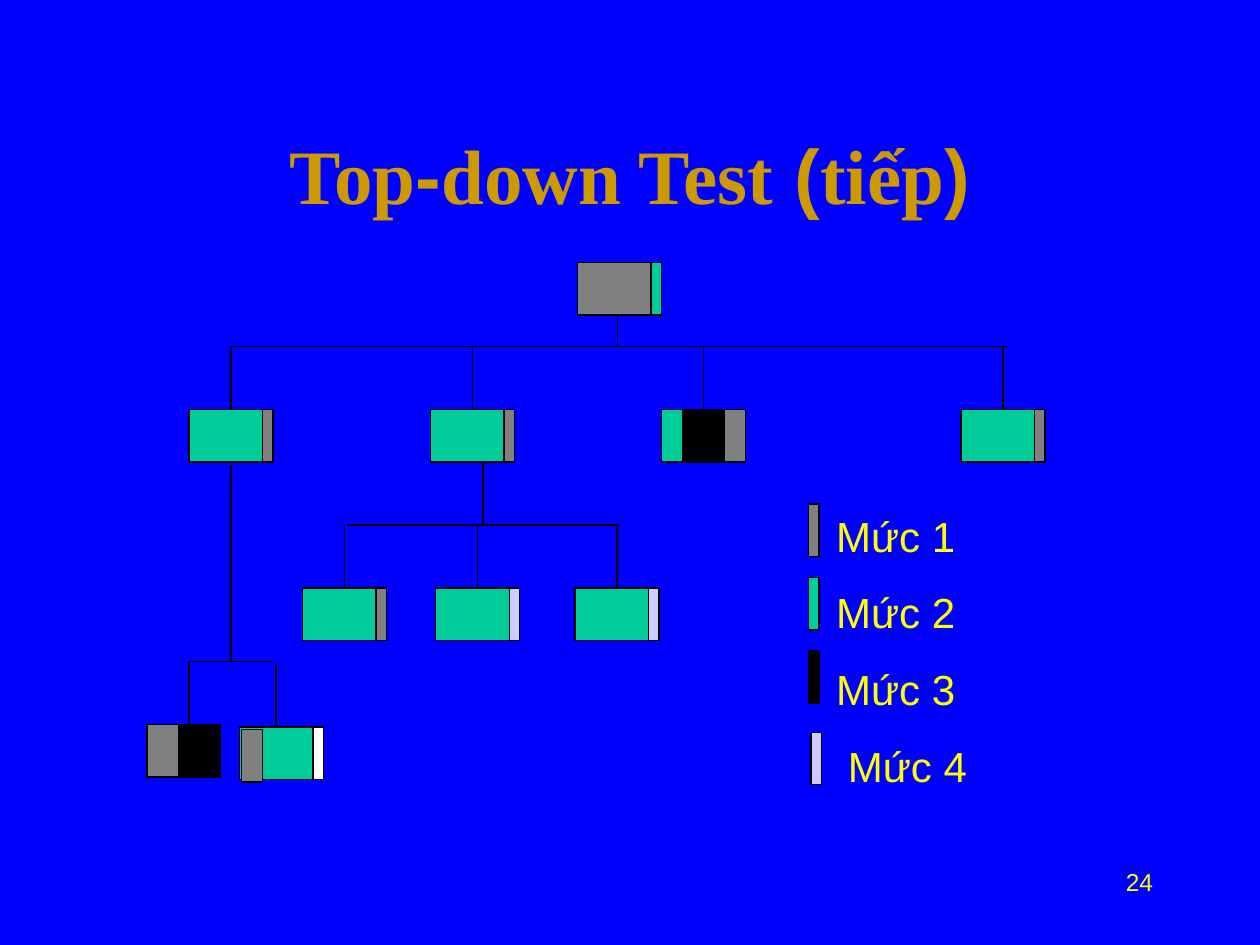
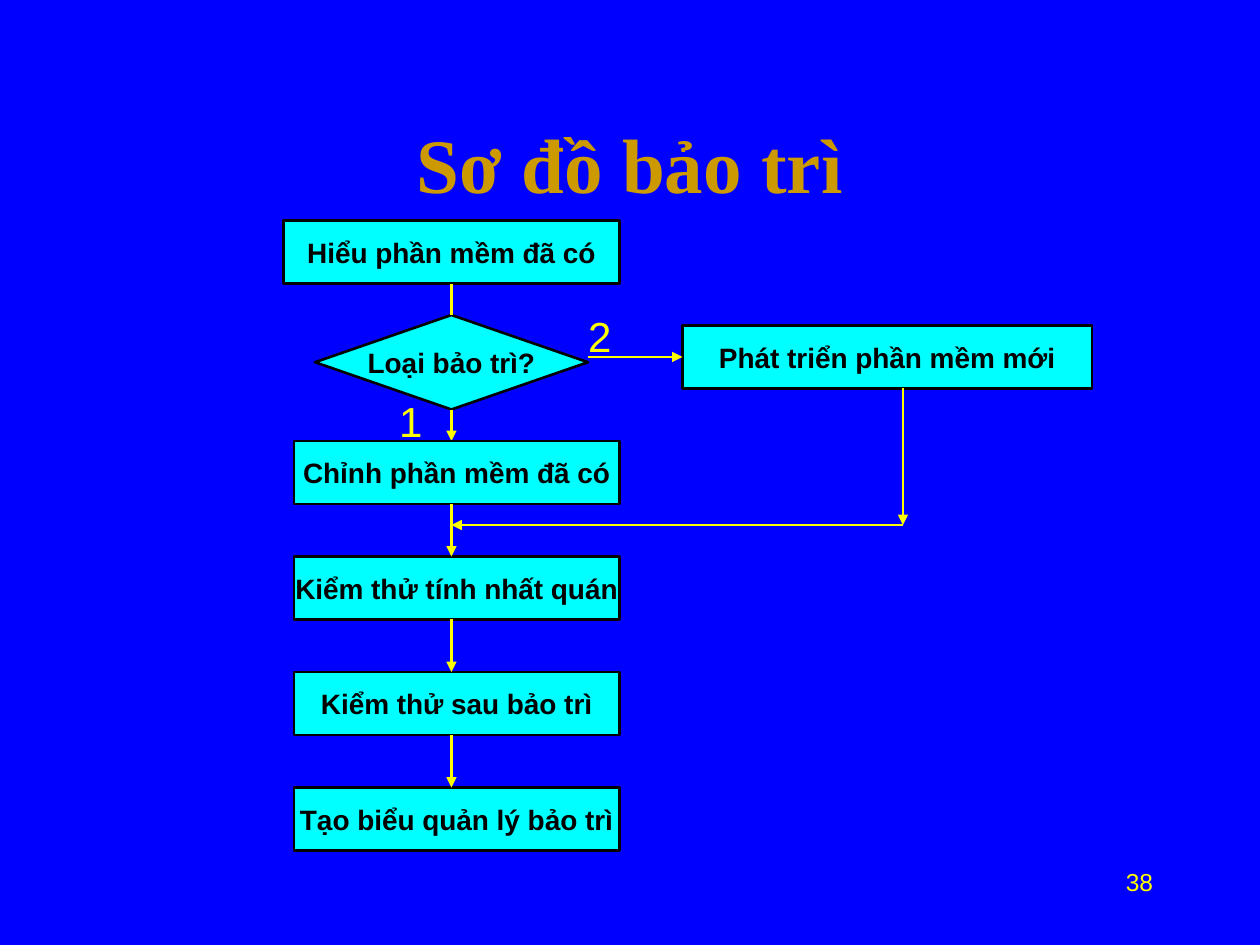
from lxml.etree import SubElement
from pptx import Presentation
from pptx.dml.color import RGBColor
from pptx.enum.shapes import MSO_CONNECTOR, MSO_SHAPE
from pptx.enum.text import MSO_ANCHOR, MSO_AUTO_SIZE, PP_ALIGN
from pptx.oxml.ns import qn
from pptx.util import Pt

BLUE = RGBColor(0x00, 0x00, 0xFF)
GOLD = RGBColor(0xCC, 0x99, 0x00)
YELLOW = RGBColor(0xFF, 0xFF, 0x00)
CYAN = RGBColor(0x00, 0xFF, 0xFF)
GRAY = RGBColor(0x80, 0x80, 0x80)
GREEN = RGBColor(0x00, 0xCC, 0x99)
LILAC = RGBColor(0xCC, 0xCC, 0xFF)
BLACK = RGBColor(0x00, 0x00, 0x00)
WHITE = RGBColor(0xFF, 0xFF, 0xFF)

SANS, SERIF = "Arial", "Times New Roman"
TITLE_FONT = {"size": Pt(44), "bold": True}
STEP_FONT = {"name": SANS, "size": Pt(16), "bold": True}
LABEL_FONT = {"name": SANS, "size": Pt(24)}
NUMBER_FONT = {"name": SANS, "size": Pt(14)}
TOP, LEFT, BOTTOM = 0, 1, 2

MODULE_W, MODULE_H, STRIP_W = 42, 30, 6
STEM_X = 24  # where a stem meets a module, from its left edge


class Deck:
    def __init__(self):
        self.presentation = Presentation()
        self.presentation.slide_width, self.presentation.slide_height = Pt(720), Pt(540)
        self.slide = None

    def add_slide(self, title_box, title_runs, number):
        self.slide = self.presentation.slides.add_slide(self.presentation.slide_layouts[6])
        background = self.slide.background.fill
        background.solid()
        background.fore_color.rgb = BLUE
        title = self.text_frame(*title_box, vertical_anchor=MSO_ANCHOR.MIDDLE)
        title.paragraphs[0].alignment = PP_ALIGN.CENTER
        for text, font in title_runs:
            self.styled_run(title.paragraphs[0], text, GOLD, name=font, **TITLE_FONT)
        footer = self.text_frame(516, 492, 150, 36)
        footer.paragraphs[0].alignment = PP_ALIGN.RIGHT
        self.styled_run(footer.paragraphs[0], number, YELLOW, **NUMBER_FONT)

    def text_frame(self, left, top, width, height, **formats):
        frame = self.slide.shapes.add_textbox(Pt(left), Pt(top), Pt(width), Pt(height)).text_frame
        for key, value in {"word_wrap": True, **formats}.items():
            setattr(frame, key, value)
        return frame

    def styled_run(self, paragraph, text, color, **formats):
        run = paragraph.add_run()
        run.text = text
        run.font.color.rgb = color
        for key, value in formats.items():
            setattr(run.font, key, value)

    def box(self, left, top, width, height, fill, kind=MSO_SHAPE.RECTANGLE, border=0.75):
        shape = self.slide.shapes.add_shape(kind, Pt(left), Pt(top), Pt(width), Pt(height))
        shape.shadow.inherit = False
        shape.fill.solid()
        shape.fill.fore_color.rgb = fill
        shape.line.color.rgb = BLACK
        shape.line.width = Pt(border)
        return shape

    def module(self, left, top, body, strip):
        """Draw a program module with a test-level strip on its right; return the body."""
        shape = self.box(left, top, MODULE_W, MODULE_H, body)
        self.box(left + MODULE_W, top, STRIP_W, MODULE_H, strip)
        return shape

    def step(self, text, left, top, width, height=36, kind=MSO_SHAPE.RECTANGLE):
        shape = self.box(left, top, width, height, CYAN, kind, border=1.5)
        frame = shape.text_frame
        frame.word_wrap = False
        frame.vertical_anchor = MSO_ANCHOR.MIDDLE
        frame.paragraphs[0].alignment = PP_ALIGN.CENTER
        self.styled_run(frame.paragraphs[0], text, BLACK, **STEP_FONT)
        return shape

    def branch_label(self, text, left, top):
        frame = self.text_frame(left, top, 28, 36, word_wrap=False,
                                auto_size=MSO_AUTO_SIZE.SHAPE_TO_FIT_TEXT)
        self.styled_run(frame.paragraphs[0], text, YELLOW, **LABEL_FONT)

    def line(self, start, end, color=BLACK, width=0.75, arrow=False, begin=None, finish=None):
        """Join two points; begin and finish are optional (shape, side) pairs."""
        connector = self.slide.shapes.add_connector(
            MSO_CONNECTOR.STRAIGHT, *map(Pt, (*start, *end)))
        connector.line.color.rgb = color
        connector.line.width = Pt(width)
        properties = connector._element.spPr
        if arrow:
            SubElement(properties.find(qn("a:ln")), qn("a:tailEnd"), type="triangle")
        SubElement(properties, qn("a:effectLst"))
        if begin:
            connector.begin_connect(*begin)
        if finish:
            connector.end_connect(*finish)

    def flow(self, start, end, arrow=True, **joins):
        self.line(start, end, YELLOW, 1.5, arrow, **joins)


def build_top_down_test(deck):
    deck.add_slide((96, 54, 528, 90), [
        ("Top", SERIF), ("-", SANS), ("down Test", SERIF),
        (" (", SANS), ("tiếp", SERIF), (")", SANS)], "24")

    deck.module(330, 150, GRAY, GREEN)
    deck.line((132, 198), (576, 198))
    deck.line((352.8, 180), (352.8, 198))

    tiers = [
        (234, [(108, GRAY), (246, GRAY), (549.2, GRAY)]),
        (336, [(172.8, GRAY), (249, LILAC), (328.6, LILAC)]),
    ]
    for top, modules in tiers:
        for left, strip in modules:
            deck.module(left, top, GREEN, strip)
            deck.line((left + STEM_X, top - 36), (left + STEM_X, top))

    deck.box(378, 234, MODULE_W, MODULE_H, GREEN)
    deck.box(414, 234, 12, MODULE_H, GRAY)
    level_3_core = deck.box(390, 234, 24, MODULE_H, BLACK)
    deck.line((402, 198), (402, 234), finish=(level_3_core, TOP))

    deck.line((198, 300), (354, 300))
    deck.line((276, 264), (276, 300))

    deck.box(84, 414, MODULE_W, MODULE_H, BLACK)
    deck.box(84, 414, 18, MODULE_H, GRAY)
    deck.line((108, 378), (108, 414))
    last_module = deck.module(136.8, 415.5, GREEN, WHITE)
    deck.box(138.2, 417, 12, MODULE_H, GRAY)
    deck.line((157.8, 379.5), (157.8, 415.5), finish=(last_module, TOP))
    deck.line((108, 378), (156, 378))
    deck.line((132, 265.5), (132, 378))

    legend = [("Mức 1", 26.7, 462, 288, GRAY), ("Mức 2", 26.7, 462, 330, GREEN),
              ("Mức 3", 26.7, 462, 372, BLACK), ("Mức 4", 33.4, 463.5, 418.5, LILAC)]
    levels = deck.text_frame(444, 288, 186, 168)
    for index, (level, indent, left, top, color) in enumerate(legend):
        paragraph = levels.add_paragraph() if index else levels.paragraphs[0]
        paragraph.space_before = Pt(15)
        paragraph._p.get_or_add_pPr().set("marL", str(Pt(indent)))
        deck.styled_run(paragraph, level, YELLOW, **LABEL_FONT)
        deck.box(left, top, STRIP_W, MODULE_H, color)


def build_maintenance_chart(deck):
    deck.add_slide((54, 48, 612, 90), [("Sơ đồ bảo trì", SERIF)], "38")
    axis, first_top, pitch, height = 258, 252, 66, 36

    understand = deck.step("Hiểu phần mềm đã có", 162, 126, 192)
    decision = deck.step("Loại bảo trì?", 180, 180, 156, 54, MSO_SHAPE.FLOWCHART_DECISION)
    develop = deck.step("Phát triển phần mềm mới", 390, 186, 234)
    deck.flow((axis, 162), (axis, 180), arrow=False,
              begin=(understand, BOTTOM), finish=(decision, TOP))
    deck.flow((axis, 234), (axis, first_top), begin=(decision, BOTTOM))

    steps = ["Chỉnh phần mềm đã có", "Kiểm thử tính nhất quán",
             "Kiểm thử sau bảo trì", "Tạo biểu quản lý bảo trì"]
    for index, text in enumerate(steps):
        top = first_top + index * pitch
        deck.step(text, 168, top, 186, height)
        if index:
            deck.flow((axis, top - pitch + height), (axis, top))

    deck.flow((336, 204), (390, 204), finish=(develop, LEFT))
    deck.flow((516, 222), (516, 300))
    deck.flow((516, 300), (axis, 300))
    deck.branch_label("2", 329, 174)
    deck.branch_label("1", 221, 222.5)


def main():
    deck = Deck()
    build_top_down_test(deck)
    build_maintenance_chart(deck)
    deck.presentation.save("out.pptx")


if __name__ == "__main__":
    main()
